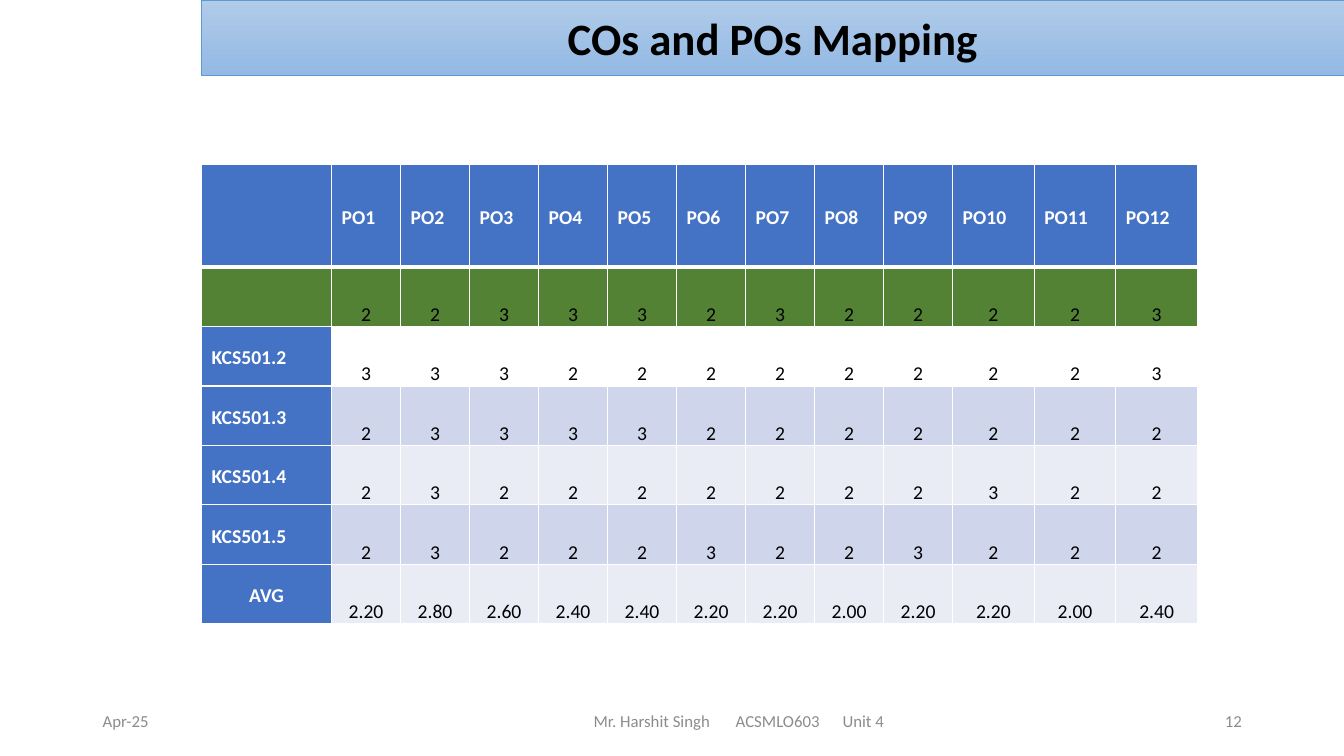
from pptx import Presentation
from pptx.dml.color import RGBColor
from pptx.enum.text import MSO_ANCHOR as Anchor, PP_ALIGN as Align
from pptx.oxml import parse_xml
from pptx.oxml.ns import nsdecls
from pptx.util import Pt

PX = 4572  # EMU in one px, 200 px to the inch

WHITE = RGBColor(0xFF, 0xFF, 0xFF)
BLACK = RGBColor(0x00, 0x00, 0x00)
GREY = RGBColor(0x8C, 0x8C, 0x8C)
BLUE = RGBColor(0x44, 0x72, 0xC4)
GREEN = RGBColor(0x54, 0x82, 0x35)
DARK = RGBColor(0xCF, 0xD5, 0xEA)
LIGHT = RGBColor(0xE9, 0xEB, 0xF5)
EDGE = RGBColor(0x5B, 0x9B, 0xD5)
SKY = RGBColor(0xB1, 0xCB, 0xE9)
DEEP = RGBColor(0x93, 0xB9, 0xE4)

# Outcome name, row fill, scores for PO1 to PO12
SCORES = [
    ("", GREEN, [2, 2, 3, 3, 3, 2, 3, 2, 2, 2, 2, 3]),
    ("KCS501.2", None, [3, 3, 3, 2, 2, 2, 2, 2, 2, 2, 2, 3]),
    ("KCS501.3", DARK, [2, 3, 3, 3, 3, 2, 2, 2, 2, 2, 2, 2]),
    ("KCS501.4", LIGHT, [2, 3, 2, 2, 2, 2, 2, 2, 2, 3, 2, 2]),
    ("KCS501.5", DARK, [2, 3, 2, 2, 2, 3, 2, 2, 3, 2, 2, 2]),
]


def put(frame, text, size=14, color=BLACK, bold=False, align=Align.LEFT,
        lead=None, after=None, tabs=()):
    para = frame.paragraphs[0]
    para.text = text
    para.alignment = align
    if lead:
        para.line_spacing = lead
    if after:
        para.space_after = Pt(after)
    if tabs:
        stops = "".join(f'<a:tab pos="{t * PX}" algn="l"/>' for t in tabs)
        props = para._p.get_or_add_pPr()
        props.append(parse_xml(f'<a:tabLst {nsdecls("a")}>{stops}</a:tabLst>'))
    font = para.runs[0].font
    font.name, font.size, font.bold = "Calibri", Pt(size), bold
    font.color.rgb = color


class Deck:
    def __init__(self, wide, high):
        self.file = Presentation()
        self.file.slide_width = wide * PX
        self.file.slide_height = high * PX
        self.slide = self.file.slides.add_slide(self.file.slide_layouts[5])

    def title(self, text, x, y, w, h):
        bar = self.slide.shapes.title
        bar.left, bar.top, bar.width, bar.height = (v * PX for v in (x, y, w, h))
        bar.fill.gradient()
        bar.fill.gradient_angle = 270
        for stop, color in zip(bar.fill.gradient_stops, (SKY, DEEP)):
            stop.color.rgb = color
        bar.line.color.rgb = EDGE
        bar.line.width = Pt(0.5)
        bar.text_frame.vertical_anchor = Anchor.MIDDLE
        put(bar.text_frame, text, size=32, bold=True, align=Align.CENTER)

    def label(self, text, x, y, w, h, inset=20, **form):
        box = self.slide.shapes.add_textbox(x * PX, y * PX, w * PX, h * PX)
        frame = box.text_frame
        frame.word_wrap = True
        frame.vertical_anchor = Anchor.MIDDLE
        frame.margin_left = inset * PX
        put(frame, text, size=12, color=GREY, **form)

    def grid(self, x, y, cols, rows):
        frame = self.slide.shapes.add_table(
            len(rows), len(cols), x * PX, y * PX,
            sum(cols) * PX, sum(rows) * PX)
        for col, wide in zip(frame.table.columns, cols):
            col.width = wide * PX
        for row, high in zip(frame.table.rows, rows):
            row.height = high * PX
        return frame.table

    def cell(self, cell, text, fill, anchor=Anchor.MIDDLE, top=1, base=1, **form):
        # Borders come before the fill
        props = cell._tc.get_or_add_tcPr()
        for side, width in zip("LRTB", (1, 1, top, base)):
            props.append(parse_xml(
                f'<a:ln{side} {nsdecls("a")} w="{Pt(width)}"><a:solidFill>'
                f'<a:srgbClr val="{WHITE}"/></a:solidFill></a:ln{side}>'))
        if fill is None:
            cell.fill.background()
        else:
            cell.fill.solid()
            cell.fill.fore_color.rgb = fill
        cell.vertical_anchor = anchor
        cell.margin_top = cell.margin_bottom = 0
        if text:
            put(cell.text_frame, text, lead=1.15, **form)


def main():
    deck = Deck(2667, 1500)
    deck.title("COs and POs Mapping", 400, 0, 2267, 150)

    # Mapping table
    table = deck.grid(400, 326, [258] + [137] * 9 + [162] * 3, [204] + [118] * 6)
    heads = [""] + [f"PO{n}" for n in range(1, 13)]
    for c, head in enumerate(heads):
        deck.cell(table.cell(0, c), head, BLUE, base=3, color=WHITE, bold=True)

    # Scores, then the mean of each column
    means = [sum(col) / len(col) for col in zip(*(row[2] for row in SCORES))]
    body = SCORES + [("AVG", LIGHT, [f"{mean:.2f}" for mean in means])]
    for r, (name, fill, marks) in enumerate(body, 1):
        top = 3 if r == 1 else 1
        deck.cell(table.cell(r, 0), name, BLUE if name else fill, top=top,
                  color=WHITE, bold=True,
                  align=Align.CENTER if name == "AVG" else Align.LEFT)
        for c, mark in enumerate(marks, 1):
            deck.cell(table.cell(r, c), str(mark), fill, anchor=Anchor.BOTTOM,
                      top=top, align=Align.CENTER, after=10)

    # Footer
    deck.label("Apr-25", 184, 1390, 600, 80)
    deck.label("Mr. Harshit Singh\tACSMLO603\tUnit 4", 734, 1390, 1466, 80,
               inset=444, tabs=(282, 494))
    deck.label("12", 1884, 1390, 600, 80, align=Align.RIGHT)

    deck.file.save("out.pptx")


if __name__ == "__main__":
    main()
